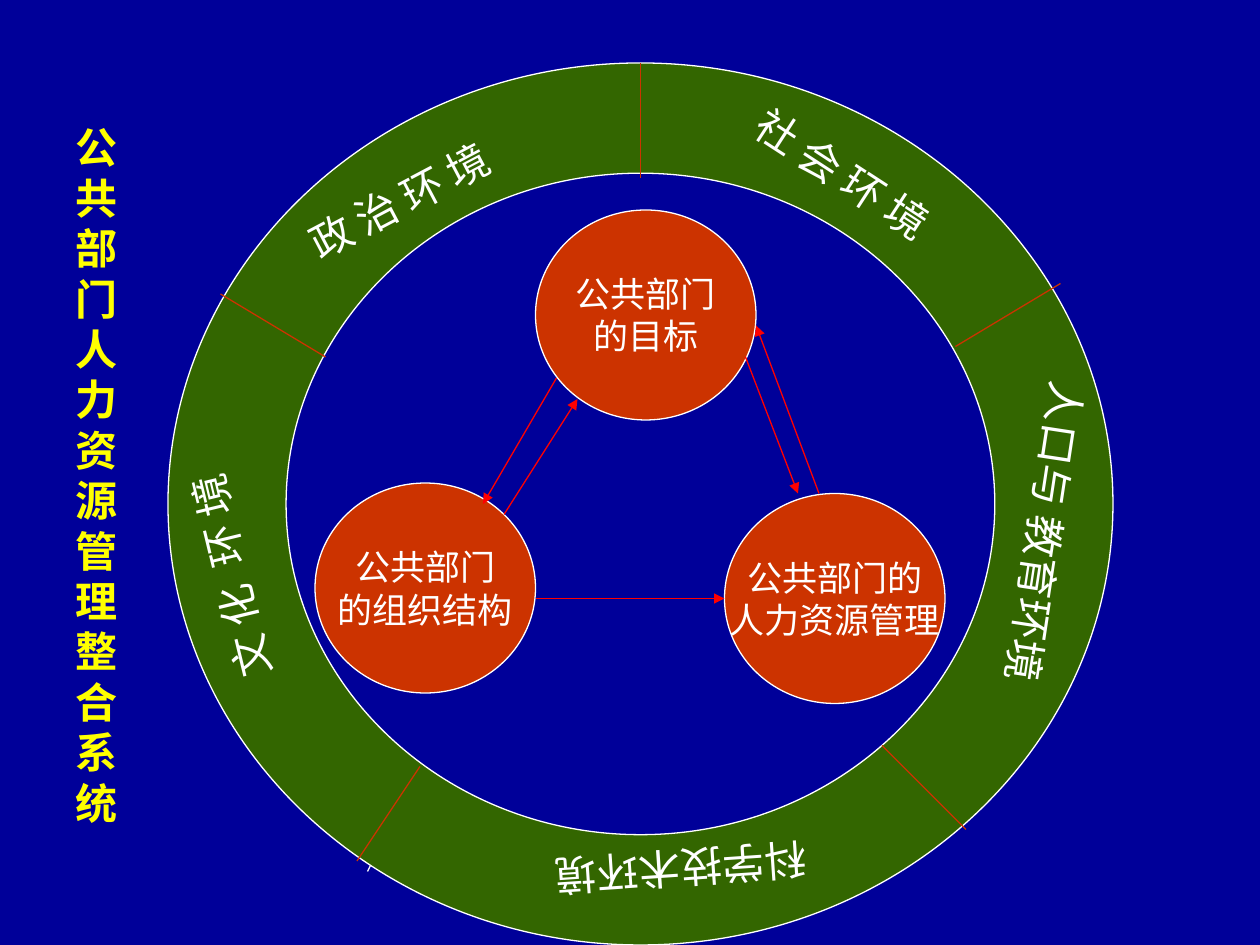
from lxml import etree
from pptx import Presentation, util as u
from pptx.dml.color import RGBColor
from pptx.enum import shapes, text
from pptx.oxml.ns import qn

COLORS = {"back": "000099", "ring": "336600", "circle": "CC3300", "white": "FFFFFF",
          "arrow": "FF0000", "title": "FFFF00"}
COLUMNS, ROWS = 120, 90
UNIT = u.Inches(10) / COLUMNS
FONT = "Times New Roman"
CURVE = 0.55
GAP_SPACING = "600"

TITLE = ("公共部门人力资源管理整合系统", (6, 11, 9, 68.4))
RING_CENTER, RING_RADII, HOLE_SHARE = (61, 48), (45, 42), 0.75
CIRCLE_SIZE = (21, 20)
CIRCLES = [
    ("公共部门\n的目标", (51, 20)),
    ("公共部门的\n人力资源管理", (69, 47)),
    ("公共部门\n的组织结构", (30, 46)),
]
ENVIRONMENTS = [
    (["政 治 环 境"], (27, 14, 30, 6), 332.2),
    (["文 化", "环 境"], (6, 48, 30, 6), 256.3),
    (["社 会 环 境"], (69, 16, 30, 6), 33.2),
    (["人口与 教育环境"], (79.4, 51.6, 39.2, 6), 98.7),
    (["科学技术环境"], (48, 79.9, 30, 6), 176.1),
]
TICK = (39, 75, 35, 83)
DIVIDERS = [(61, 6, 61, 17), (31, 34, 21, 28), (91, 33, 101, 27),
            (40, 73, 34, 82), (84, 71, 92, 79)]
ARROWS = [(53, 36, 46, 48), (48, 49, 55, 38), (51, 57, 69, 57),
          (71, 34, 76, 47), (78, 47, 72, 31)]


def grid(*cells):
    return [u.Emu(round(cell * UNIT)) for cell in cells]


def rgb(name):
    return RGBColor.from_string(COLORS[name])


def paint(shape, fill):
    shape.shadow.inherit = False
    shape.fill.solid()
    shape.fill.fore_color.rgb = rgb(fill)
    shape.line.color.rgb = rgb("white")
    shape.line.width = u.Pt(0.75)


def write(shape, words, size, color, align, frame_format, bold=False):
    frame = shape.text_frame
    for key, value in frame_format.items():
        setattr(frame, key, value)
    frame.text = words
    for paragraph in frame.paragraphs:
        paragraph.alignment = align
        for run in paragraph.runs:
            for key, value in {"name": FONT, "size": u.Pt(size), "bold": bold}.items():
                setattr(run.font, key, value)
            run.font.color.rgb = rgb(color)


def widen_gap(paragraph, before, after):
    first = paragraph.runs[0]
    first.text = before
    for words in (" ", after):
        run = paragraph.add_run()
        run.text = words
        for key in ("name", "size", "bold"):
            setattr(run.font, key, getattr(first.font, key))
        run.font.color.rgb = first.font.color.rgb
        if words == " ":
            run.font._element.set("spc", GAP_SPACING)


def draw_line(ends, color, arrow=False):
    line = slide.shapes.add_connector(shapes.MSO_CONNECTOR.STRAIGHT, *grid(*ends))
    line.line.color.rgb = rgb(color)
    line.line.width = u.Pt(0.75)
    if arrow:
        etree.SubElement(line.line._get_or_add_ln(), qn("a:tailEnd"), type="triangle")
    etree.SubElement(line._element.spPr, qn("a:effectLst"))


def quarter_points(share, turn):
    directions = [(-1, 0), (0, -turn), (1, 0), (0, turn), (-1, 0)]
    return [grid(*(middle + share * radius * step for middle, radius, step
                   in zip(RING_CENTER, RING_RADII, direction)))
            for direction in directions]


def round_corners(shape):
    center = (shape.width / 2, shape.height / 2)
    start = None
    for segment in list(shape._element.iter(qn("a:moveTo"), qn("a:lnTo"))):
        point = segment.find(qn("a:pt"))
        end = (int(point.get("x")), int(point.get("y")))
        if segment.tag == qn("a:lnTo"):
            corner = [a + b - c for a, b, c in zip(start, end, center)]
            curve = etree.Element(qn("a:cubicBezTo"))
            for anchor in (start, end):
                x, y = (round(a + CURVE * (c - a)) for a, c in zip(anchor, corner))
                etree.SubElement(curve, qn("a:pt"), x=str(x), y=str(y))
            curve.append(point)
            segment.getparent().replace(segment, curve)
        start = end


deck = Presentation()
deck.slide_width, deck.slide_height = grid(COLUMNS, ROWS)
slide = deck.slides.add_slide(deck.slide_layouts[5])
slide.background.fill.solid()
slide.background.fill.fore_color.rgb = rgb("back")

LABEL_FORMAT = {"word_wrap": True, "vertical_anchor": text.MSO_ANCHOR.TOP,
                "auto_size": text.MSO_AUTO_SIZE.SHAPE_TO_FIT_TEXT}
CIRCLE_FORMAT = {"word_wrap": False, "vertical_anchor": text.MSO_ANCHOR.MIDDLE}

title = slide.shapes.title
title.left, title.top, title.width, title.height = grid(*TITLE[1])
write(title, TITLE[0], 24, "title", text.PP_ALIGN.LEFT, LABEL_FORMAT, bold=True)

for words, corner in CIRCLES:
    circle = slide.shapes.add_shape(shapes.MSO_SHAPE.OVAL, *grid(*corner, *CIRCLE_SIZE))
    paint(circle, "circle")
    write(circle, words, 20, "white", text.PP_ALIGN.CENTER, CIRCLE_FORMAT)

draw_line(TICK, "white")

outer, hole = quarter_points(1, 1), quarter_points(HOLE_SHARE, -1)
builder = slide.shapes.build_freeform(*outer[0])
builder.add_line_segments(outer[1:], close=True)
builder.move_to(*hole[0])
builder.add_line_segments(hole[1:], close=True)
ring = builder.convert_to_shape()
round_corners(ring)
paint(ring, "ring")

for divider in DIVIDERS:
    draw_line(divider, "circle")

for parts, place, angle in ENVIRONMENTS:
    environment = slide.shapes.add_textbox(*grid(*place))
    environment.rotation = angle
    write(environment, parts[0], 24, "white", text.PP_ALIGN.LEFT, LABEL_FORMAT)
    if len(parts) > 1:
        widen_gap(environment.text_frame.paragraphs[0], *parts)

for arrow in ARROWS:
    draw_line(arrow, "arrow", arrow=True)

deck.save("out.pptx")
